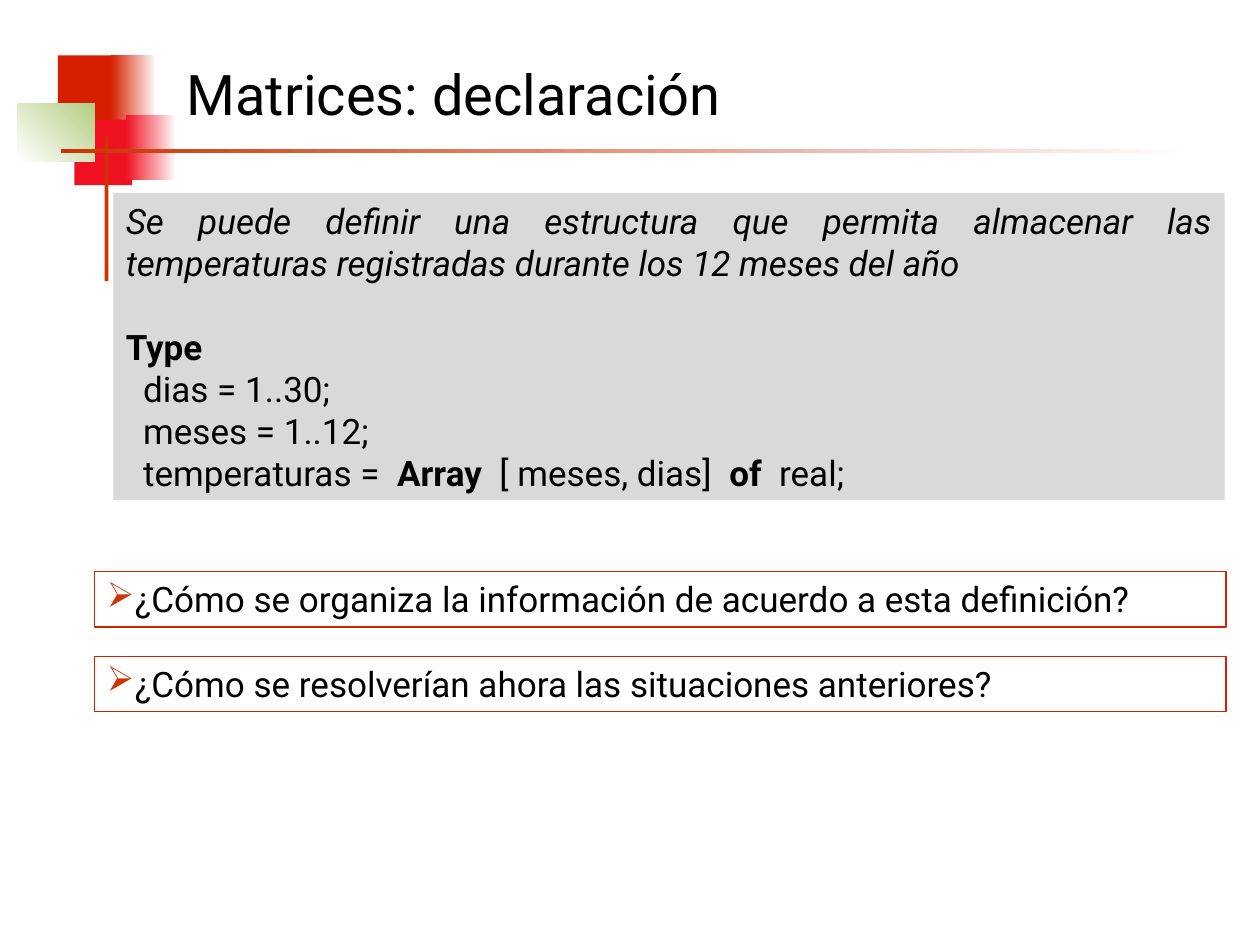
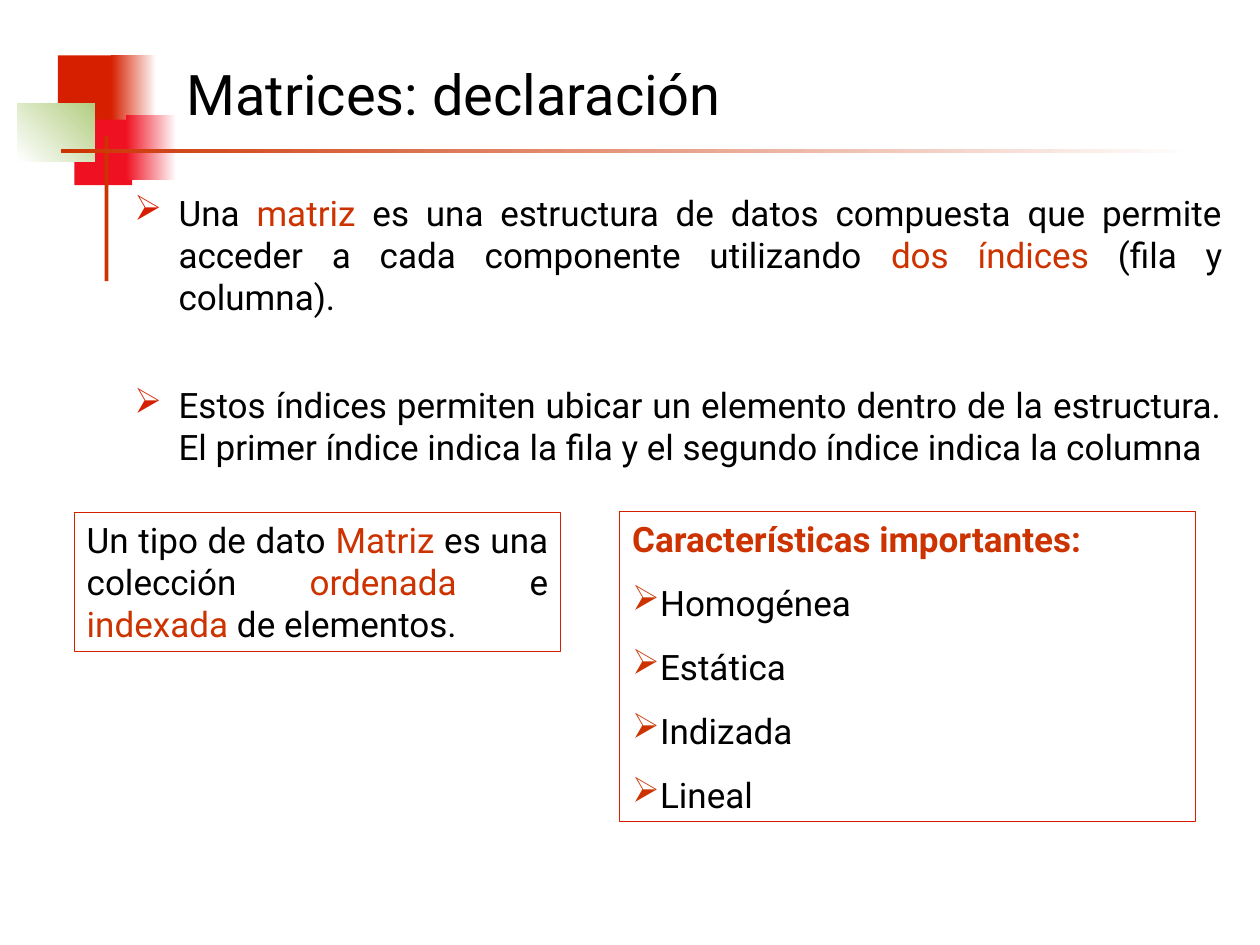
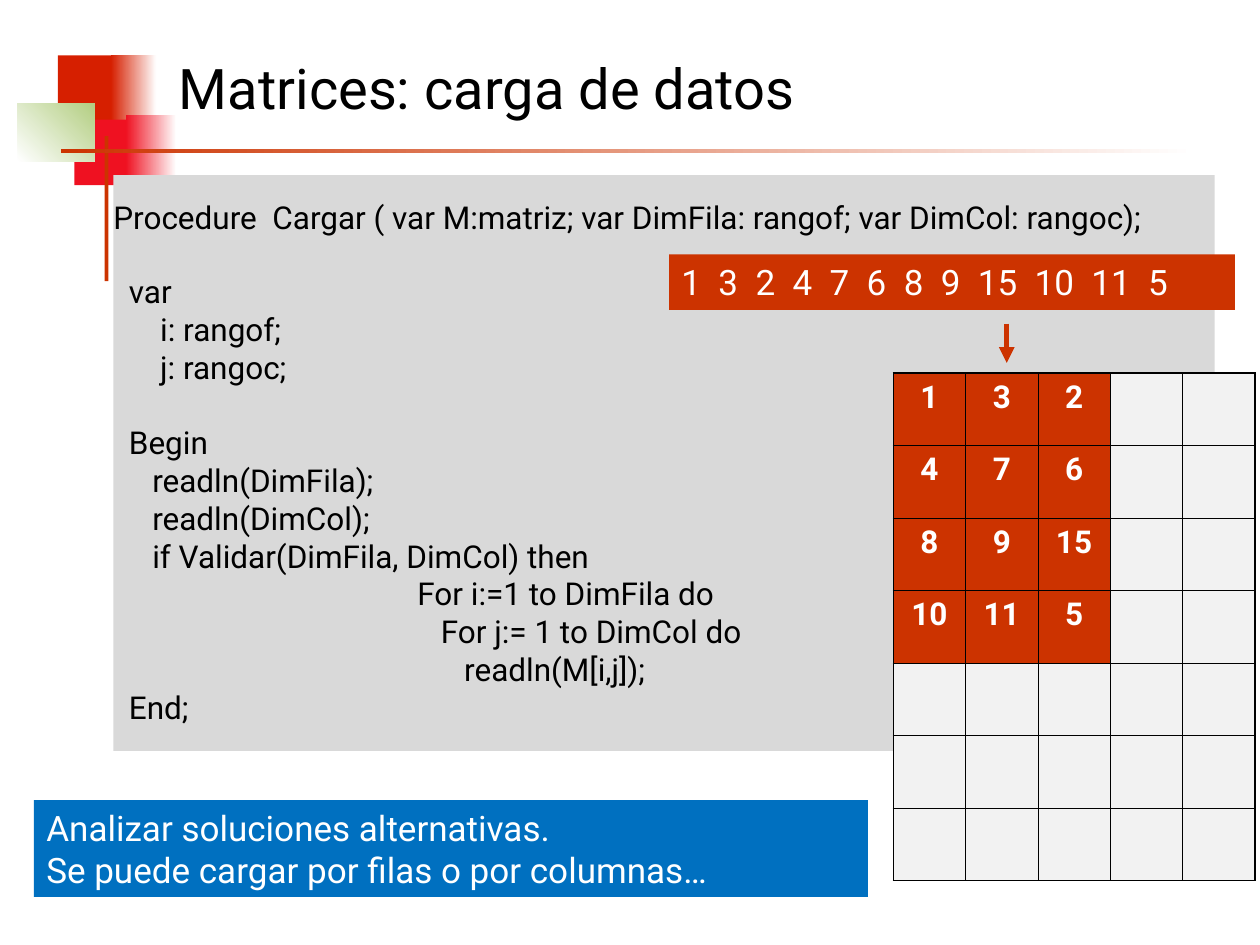
from dataclasses import dataclass
from typing import NamedTuple, Optional, Union

from lxml import etree
from pptx import Presentation
from pptx.dml.color import RGBColor
from pptx.enum import shapes, text
from pptx.oxml.ns import qn
from pptx.util import Pt

FONT = "Roboto"
BLACK = RGBColor(0x00, 0x00, 0x00)
WHITE = RGBColor(0xFF, 0xFF, 0xFF)
RED = RGBColor(0xD6, 0x1F, 0x00)
CRIMSON = RGBColor(0xEF, 0x11, 0x21)
GREEN = RGBColor(0xB3, 0xCE, 0x82)
RUST = RGBColor(0xCC, 0x33, 0x00)
BLUE = RGBColor(0x00, 0x70, 0xC0)
PANEL_GRAY = RGBColor(0xD9, 0xD9, 0xD9)
CELL_GRAY = RGBColor(0xF2, 0xF2, 0xF2)

LEFT = text.PP_ALIGN.LEFT
JUSTIFY = text.PP_ALIGN.JUSTIFY
TOP = text.MSO_ANCHOR.TOP
MIDDLE = text.MSO_ANCHOR.MIDDLE


class Frame(NamedTuple):
    left: float
    top: float
    width: float
    height: float


class Block(NamedTuple):
    frame: Frame
    start: RGBColor
    end: Optional[RGBColor] = None
    angle: float = 0


class Span(NamedTuple):
    words: str
    color: Optional[RGBColor] = None
    bold: Optional[bool] = None


@dataclass
class Para:
    content: Union[str, list]
    size: float = 20
    color: RGBColor = BLACK
    bold: bool = False
    italic: bool = False
    align: text.PP_ALIGN = LEFT
    before: float = 0
    spacing: Optional[float] = None
    bullet: Optional[RGBColor] = None
    indent: float = 0


@dataclass
class Box:
    frame: Frame
    paras: list
    fill: Optional[RGBColor] = None
    line: Optional[RGBColor] = None
    anchor: text.MSO_ANCHOR = TOP
    inset: tuple = (7.2, 3.6)


BAND = [
    Block(Frame(33.1, 31.7, 34.6, 37.4), RED),
    Block(Frame(63.4, 31.7, 25.9, 37.4), RED, WHITE),
    Block(Frame(42.5, 68.4, 33.1, 37.4), CRIMSON),
    Block(Frame(72, 65.5, 28.8, 37.4), CRIMSON, WHITE),
    Block(Frame(10.1, 59, 43.9, 33.1), WHITE, GREEN, 45),
    Block(Frame(59.8, 77.8, 2.2, 82.8), RUST),
    Block(Frame(34.6, 85, 648, 2.2), RUST, WHITE),
]


def points(frame: Frame) -> list:
    return [Pt(length) for length in frame]


def add_rectangle(page, frame: Frame):
    shape = page.shapes.add_shape(shapes.MSO_SHAPE.RECTANGLE, *points(frame))
    shape.shadow.inherit = False
    shape.line.fill.background()
    return shape


def add_band(page, layout) -> None:
    for position, block in enumerate(BAND, start=2):
        shape = add_rectangle(page, block.frame)
        if block.end is None:
            shape.fill.solid()
            shape.fill.fore_color.rgb = block.start
        else:
            shape.fill.gradient()
            shape.fill.gradient_angle = block.angle
            for stop, color in zip(shape.fill.gradient_stops, (block.start, block.end)):
                stop.color.rgb = color
        layout.shapes.element.insert(position, shape.element)


def add_bullet(paragraph, color: RGBColor, indent: float) -> None:
    properties = paragraph._p.get_or_add_pPr()
    properties.set("marL", str(Pt(indent)))
    properties.set("indent", str(-Pt(indent)))
    holder = etree.SubElement(properties, qn("a:buClr"))
    etree.SubElement(holder, qn("a:srgbClr"), val=str(color))
    etree.SubElement(properties, qn("a:buChar"), char="➢")


def set_font(font, size: float, color: RGBColor, bold: bool = False, italic: bool = False) -> None:
    font.name = FONT
    font.size = Pt(size)
    font.color.rgb = color
    font.bold = bold
    font.italic = italic


def write_para(paragraph, para: Para) -> None:
    paragraph.alignment = para.align
    if para.before:
        paragraph.space_before = Pt(para.before)
    if para.spacing:
        paragraph.line_spacing = para.spacing
    if para.bullet is not None:
        add_bullet(paragraph, para.bullet, para.indent)
    set_font(paragraph.font, para.size, para.color, para.bold, para.italic)
    spans = [Span(para.content)] if isinstance(para.content, str) else para.content
    for span in spans:
        run = paragraph.add_run()
        run.text = span.words
        if span.color is not None:
            run.font.color.rgb = span.color
        if span.bold is not None:
            run.font.bold = span.bold


def add_box(page, box: Box) -> None:
    if box.fill is None and box.line is None:
        shape = page.shapes.add_textbox(*points(box.frame))
    else:
        shape = add_rectangle(page, box.frame)
        if box.fill is None:
            shape.fill.background()
        else:
            shape.fill.solid()
            shape.fill.fore_color.rgb = box.fill
        if box.line is not None:
            shape.line.color.rgb = box.line
            shape.line.width = Pt(0.75)
    frame = shape.text_frame
    frame.word_wrap = True
    frame.vertical_anchor = box.anchor
    frame.margin_left = frame.margin_right = Pt(box.inset[0])
    frame.margin_top = frame.margin_bottom = Pt(box.inset[1])
    for index, para in enumerate(box.paras):
        write_para(frame.add_paragraph() if index else frame.paragraphs[0], para)


def add_page(deck, title: str, left: float = 99.4, top: float = 20.2):
    page = deck.slides.add_slide(deck.slide_layouts[5])
    holder = page.shapes.title
    holder.left, holder.top, holder.width, holder.height = points(Frame(left, top, 588.2, 66.2))
    frame = holder.text_frame
    frame.auto_size = text.MSO_AUTO_SIZE.NONE
    frame.vertical_anchor = MIDDLE
    write_para(frame.paragraphs[0], Para(title, size=32))
    return page


def set_borders(cell, widths: dict) -> None:
    properties = cell._tc.get_or_add_tcPr()
    for side, width in widths.items():
        line = etree.SubElement(properties, qn(f"a:ln{side}"), w=str(Pt(width)))
        fill = etree.SubElement(line, qn("a:solidFill"))
        etree.SubElement(fill, qn("a:srgbClr"), val=str(BLACK))


def add_matrix(page, frame: Frame, values: list, rows: int, columns: int) -> None:
    table = page.shapes.add_table(rows, columns, *points(frame)).table
    table.first_row = table.horz_banding = False
    for column in table.columns:
        column.width = Pt(frame.width / columns)
    for row in table.rows:
        row.height = Pt(frame.height / rows)
    thin, thick = 0.45, 1.08
    for r in range(rows):
        for c in range(columns):
            cell = table.cell(r, c)
            set_borders(cell, {
                "L": thick if c == 0 else thin,
                "R": thick if c == columns - 1 else thin,
                "T": thick if r == 0 else thin,
                "B": thick if r == rows - 1 else thin,
            })
            loaded = r < len(values) and c < len(values[r])
            cell.fill.solid()
            cell.fill.fore_color.rgb = RUST if loaded else CELL_GRAY
            if loaded:
                write_para(cell.text_frame.paragraphs[0], Para(
                    str(values[r][c]), size=18, color=WHITE, bold=True, align=text.PP_ALIGN.CENTER))


def add_arrow(page, x: float, top: float, bottom: float) -> None:
    arrow = page.shapes.add_connector(
        shapes.MSO_CONNECTOR.STRAIGHT, Pt(x), Pt(top), Pt(x), Pt(bottom))
    arrow.line.color.rgb = RUST
    arrow.line.width = Pt(3)
    etree.SubElement(arrow.line._get_or_add_ln(), qn("a:tailEnd"), type="triangle")
    etree.SubElement(arrow._element.spPr, qn("a:effectLst"))


def build_declaration(deck) -> None:
    page = add_page(deck, "Matrices: declaración")
    add_band(page, deck.slide_layouts[5])
    add_box(page, Box(Frame(64.8, 110.2, 635, 175.7), [
        Para("Se puede definir una estructura que permita almacenar las temperaturas "
             "registradas durante los 12 meses del año", italic=True, align=JUSTIFY),
        Para("Type", bold=True, before=24),
        Para("  dias = 1..30;"),
        Para("  meses = 1..12;"),
        Para([Span("  temperaturas =  "), Span("Array", bold=True), Span("  [ meses, dias]  "),
              Span("of", bold=True), Span("  real;")]),
    ], fill=PANEL_GRAY))
    questions = ["¿Cómo se organiza la información de acuerdo a esta definición?",
                 "¿Cómo se resolverían ahora las situaciones anteriores?"]
    for index, question in enumerate(questions):
        add_box(page, Box(Frame(54, 326.7 + 48.3 * index, 646.6, 31.7),
                          [Para(question, bullet=RUST)], line=RED))


def build_definition(deck) -> None:
    page = add_page(deck, "Matrices: declaración")
    add_box(page, Box(Frame(69.8, 105.8, 635.8, 170), [
        Para([Span("Una "), Span("matriz ", RUST),
              Span("es una estructura de datos compuesta que permite acceder a cada "
                   "componente utilizando "),
              Span("dos índices ", RUST), Span("(fila y columna).")],
             align=JUSTIFY, bullet=RED, indent=25.2),
        Para("Estos índices permiten ubicar un elemento dentro de la estructura. El primer "
             "índice indica la fila y el segundo índice indica la columna",
             align=JUSTIFY, bullet=RED, indent=25.2, before=38),
    ]))
    add_box(page, Box(Frame(42.5, 293, 277.9, 79.2), [
        Para([Span("Un tipo de dato "), Span("Matriz ", RUST), Span("es una colección "),
              Span("ordenada", RUST), Span(" e "), Span("indexada", RUST),
              Span(" de elementos.")], align=JUSTIFY),
    ], line=RED))
    features = ["Homogénea", "Estática", "Indizada", "Lineal"]
    add_box(page, Box(
        Frame(354.2, 292.3, 329, 177.1),
        [Para("Características importantes:", color=RUST, bold=True)]
        + [Para(feature, bullet=RUST, before=12.5) for feature in features],
        line=RED))


def build_loading(deck) -> None:
    page = add_page(deck, "Matrices: carga de datos", 95, 16.6)
    code = [
        Para("Procedure  Cargar ( var M:matriz; var DimFila: rangof; var DimCol: rangoc);",
             size=18, spacing=0.95),
        Para("  var", size=18, before=20.5),
        Para("      i: rangof;", size=18),
        Para("      j: rangoc;", size=18),
        Para("  Begin", size=18, before=21.6),
    ]
    code += [Para(line, size=18) for line in (
        "     readln(DimFila);",
        "     readln(DimCol);",
        "     if Validar(DimFila, DimCol) then",
        "                                       For i:=1 to DimFila do",
        "                                          For j:= 1 to DimCol do",
        "                                             readln(M[i,j]);",
        "  End;",
    )]
    add_box(page, Box(Frame(64.8, 100.1, 629.3, 329), code,
                      fill=PANEL_GRAY, anchor=MIDDLE, inset=(0, 0)))
    values = [[1, 3, 2], [4, 7, 6], [8, 9, 15], [10, 11, 5]]
    add_matrix(page, Frame(510.5, 213.1, 206.6, 290.2), values, rows=7, columns=5)
    sequence = "  ".join(str(value) for row in values for value in row)
    add_box(page, Box(Frame(382.3, 145.4, 323.3, 31.7), [Para(sequence, color=WHITE)], fill=RUST))
    add_arrow(page, 575.3, 185, 207.4)
    add_box(page, Box(Frame(19.4, 457.2, 476.6, 55.4), [
        Para("Analizar soluciones alternativas.", color=WHITE),
        Para("Se puede cargar por filas o por columnas…", color=WHITE),
    ], fill=BLUE))


def main() -> None:
    deck = Presentation()
    deck.slide_width, deck.slide_height = Pt(720), Pt(540)
    build_declaration(deck)
    build_definition(deck)
    build_loading(deck)
    deck.save("out.pptx")


if __name__ == "__main__":
    main()
